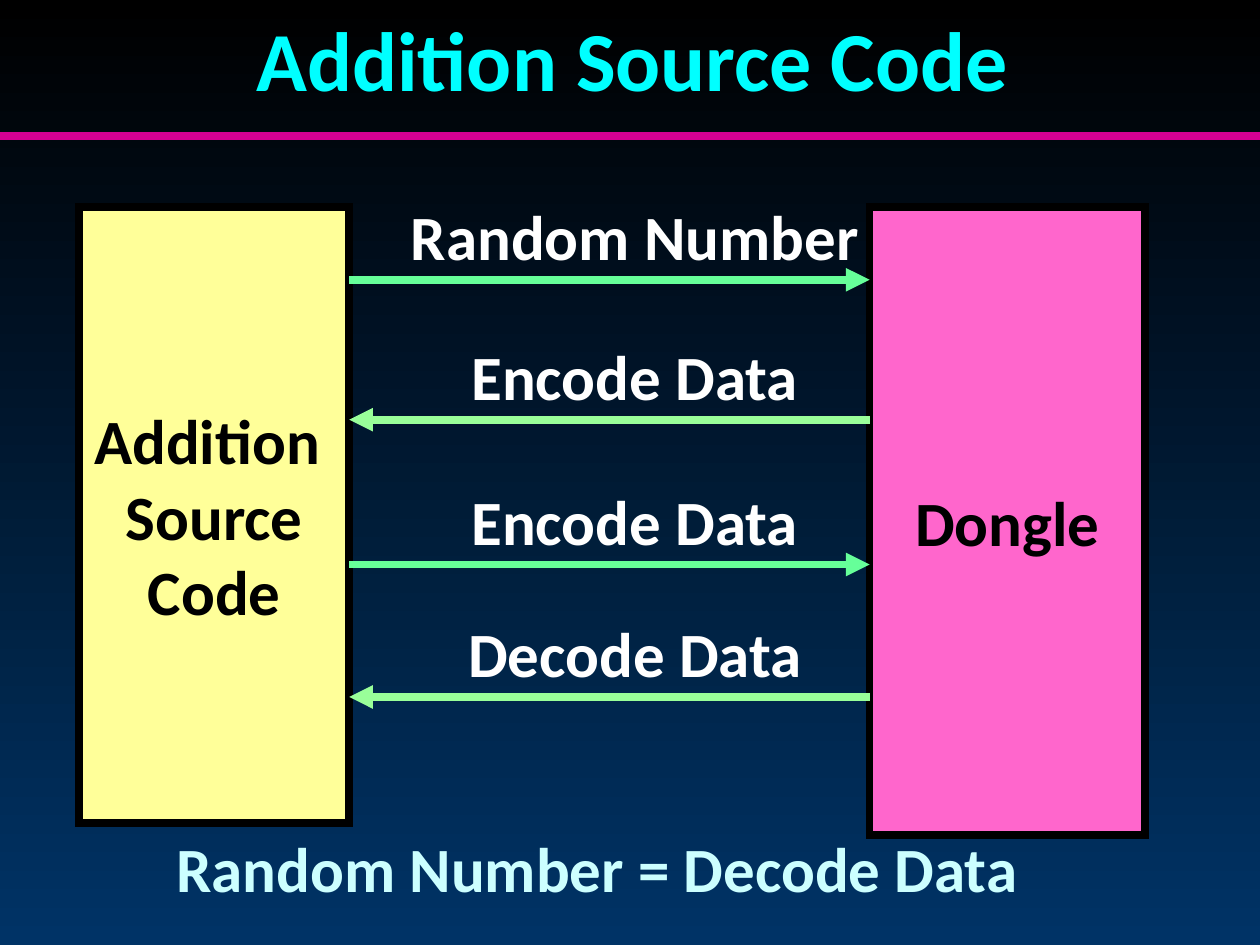
from lxml.etree import SubElement
from pptx import Presentation
from pptx.dml.color import RGBColor as RGB
from pptx.enum.shapes import MSO_CONNECTOR as CONN, MSO_SHAPE as SHAPE
from pptx.enum.text import MSO_ANCHOR as ANCHOR, PP_ALIGN as ALIGN
from pptx.oxml.ns import qn
from pptx.util import Cm, Pt

COLORS = {
    "top": "000000", "bottom": "003366", "rule": "D60093", "title": "00FFFF",
    "source": "FFFF99", "dongle": "FF66CC", "black": "000000", "label": "FFFFFF",
    "send": "66FF99", "reply": "99FF99", "result": "CCFFFF",
}
FONT = "Calibri"
LINE_WIDTH = Pt(4.5)
WIDTH, HEIGHT = 25.4, 19.05

TITLE = ("Addition Source Code", (3.76, 0, 17.98, 2.34))
RESULT = ("Random Number = Decode Data", (1.65, 16.59, 20.78, 1.78))
BOXES = [
    (["Addition ", "Source", "Code"], (1.6, 4.17, 5.44, 12.42), "source"),
    (["Dongle"], (17.53, 4.17, 5.56, 12.67), "dongle"),
]
MESSAGES = [
    ("Random Number", 5.64, "send"),
    ("Encode Data", 8.46, "reply"),
    ("Encode Data", 11.38, "send"),
    ("Decode Data", 14.05, "reply"),
]
LEFT_END, RIGHT_END = 7.04, 17.53
LABEL_CENTER, LABEL_W, LABEL_H = 12.8, 11.35, 1.78


def color(name):
    return RGB.from_string(COLORS[name])


def write(sp, lines, name, size=36, wrap=False):
    tf = sp.text_frame
    tf.word_wrap = wrap
    tf.vertical_anchor = ANCHOR.MIDDLE
    tf.text = "\n".join(lines)
    for p in tf.paragraphs:
        p.alignment = ALIGN.CENTER
        p.font.name, p.font.size, p.font.bold = FONT, Pt(size), True
        p.font.color.rgb = color(name)


def add_text(shapes, text, box, name, **style):
    write(shapes.add_textbox(*map(Cm, box)), [text], name, **style)


def add_line(shapes, x1, x2, y, name, arrow=False):
    line = shapes.add_connector(CONN.STRAIGHT, Cm(x1), Cm(y), Cm(x2), Cm(y))
    line.line.color.rgb = color(name)
    line.line.width = LINE_WIDTH
    if arrow:
        SubElement(line.line._get_or_add_ln(), qn("a:tailEnd"), type="triangle")
    SubElement(line._element.spPr, qn("a:effectLst"))


def add_box(shapes, lines, box, name):
    sp = shapes.add_shape(SHAPE.RECTANGLE, *map(Cm, box))
    sp.shadow.inherit = False
    sp.fill.solid()
    sp.fill.fore_color.rgb = color(name)
    sp.line.color.rgb = color("black")
    sp.line.width = LINE_WIDTH
    SubElement(sp.line._get_or_add_ln(), qn("a:miter"), lim="800000")
    write(sp, lines, "black")


def add_message(shapes, text, y, name):
    group = shapes.add_group_shape().shapes
    ends = (LEFT_END, RIGHT_END) if name == "send" else (RIGHT_END, LEFT_END)
    add_line(group, *ends, y, name, arrow=True)
    box = (LABEL_CENTER - LABEL_W / 2, y - LABEL_H, LABEL_W, LABEL_H)
    add_text(group, text, box, "label")


def main():
    prs = Presentation()
    prs.slide_width, prs.slide_height = Cm(WIDTH), Cm(HEIGHT)
    s = prs.slides.add_slide(prs.slide_layouts[6])
    fill = s.background.fill
    fill.gradient()
    fill.gradient_angle = 270
    for stop, name, position in zip(fill.gradient_stops, ("top", "bottom"), (0, 1)):
        stop.color.rgb = color(name)
        stop.position = position

    add_line(s.shapes, 0, WIDTH, 2.74, "rule")
    add_text(s.shapes, *TITLE, "title", size=48, wrap=True)
    for box in BOXES:
        add_box(s.shapes, *box)
    for message in MESSAGES:
        add_message(s.shapes, *message)
    add_text(s.shapes, *RESULT, "result")
    prs.save("out.pptx")


if __name__ == "__main__":
    main()
